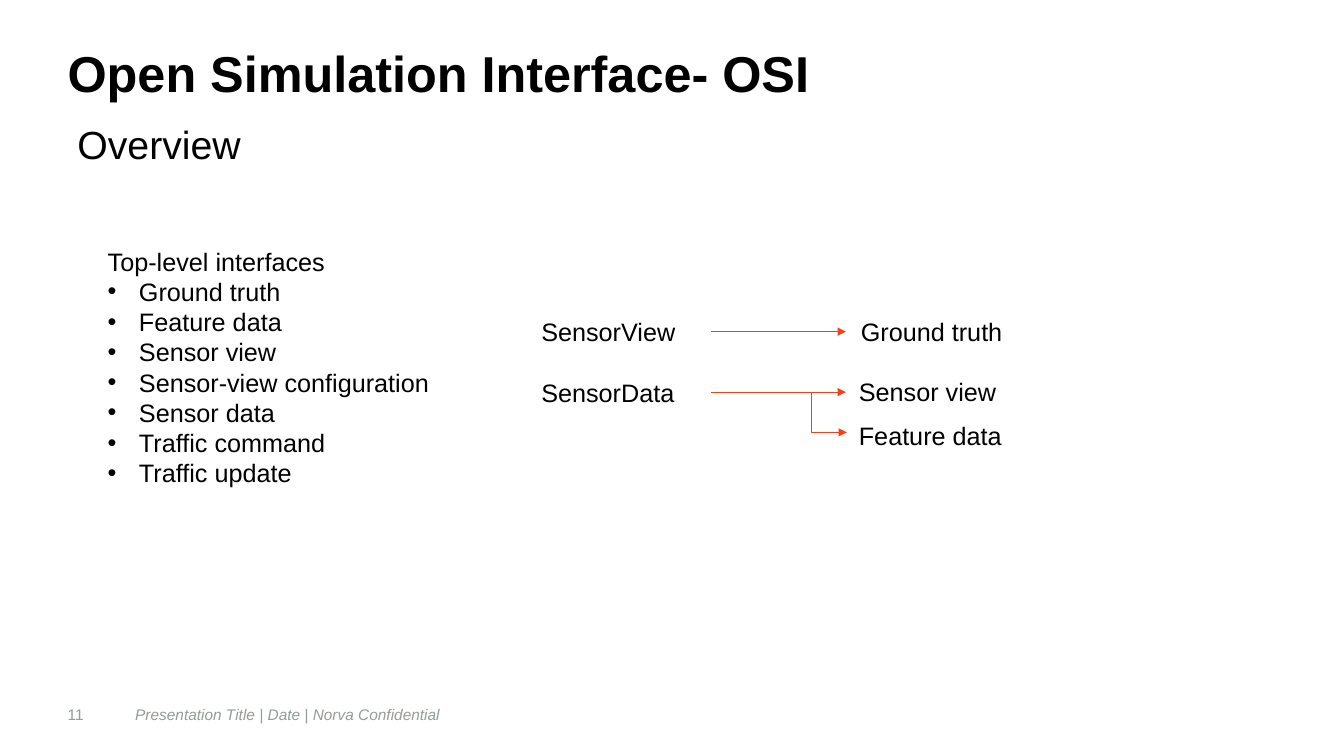
from lxml.etree import SubElement
from pptx import Presentation
from pptx.dml.color import RGBColor
from pptx.enum.shapes import MSO_CONNECTOR
from pptx.enum.text import MSO_ANCHOR, PP_ALIGN
from pptx.oxml.ns import qn
from pptx.util import Inches, Pt

COLORS = {"text": "000000", "muted": "929D96", "arrow": "F74018"}
FONT = "Arial"
TITLE = "Open Simulation Interface- OSI"
HEAD = "Top-level interfaces"
ITEMS = [
    "Ground truth",
    "Feature data",
    "Sensor view",
    "Sensor-view configuration",
    "Sensor data",
    "Traffic command",
    "Traffic update",
]
FOOTER = [  # text, left, width, italic
    ("Presentation Title | Date | Norva Confidential", 1.34, 3.82, True),
    ("11", 0.67, 0.68, False),
]
SOURCES = [("SensorView", 3.09), ("SensorData", 3.69)]  # text, top
TARGETS = [  # text, left, top, width
    ("Ground truth", 8.44, 3.09, 1.76),
    ("Sensor view", 8.42, 3.68, 1.78),
    ("Feature data", 8.42, 4.12, 1.89),
]
LABEL_H = 0.4
SOURCE_X, SOURCE_W = 5.27, 1.78
START_X, TIP_X = SOURCE_X + SOURCE_W, 8.39


def style(par, size, color="text", bold=False, italic=False):
    par.alignment = PP_ALIGN.LEFT
    font = par.font
    font.name, font.size = FONT, Pt(size)
    font.bold, font.italic = bold, italic
    font.color.rgb = RGBColor.from_string(COLORS[color])


def flush(frame, anchor):
    """Remove the margins of a text frame and anchor its text."""
    frame.margin_left = frame.margin_right = 0
    frame.margin_top = frame.margin_bottom = 0
    frame.vertical_anchor = anchor


def add_text(slide, lines, box, size=18, **look):
    shape = slide.shapes.add_textbox(*map(Inches, box))
    frame = shape.text_frame
    frame.word_wrap = True
    frame.text = "\n".join(lines)
    for par in frame.paragraphs:
        style(par, size, **look)
    return shape


def add_bullet(par):
    props = par._p.get_or_add_pPr()
    props.set("marL", str(Inches(0.31)))
    props.set("indent", str(-Inches(0.31)))
    SubElement(props, qn("a:buFont")).set("typeface", FONT)
    SubElement(props, qn("a:buChar")).set("char", "•")


def add_arrow(slide, kind, start, end):
    arrow = slide.shapes.add_connector(kind, *map(Inches, start + end))
    arrow.line.width = Pt(0.5)
    arrow.line.color.rgb = RGBColor.from_string(COLORS["arrow"])
    SubElement(arrow.line._get_or_add_ln(), qn("a:tailEnd")).set("type", "triangle")
    SubElement(arrow._element.spPr, qn("a:effectLst"))
    return arrow


def add_list(slide):
    """Add the heading line and the bulleted interfaces below it."""
    shape = slide.shapes.add_textbox(*map(Inches, (0.97, 2.39, 8.38, 2.83)))
    frame = shape.text_frame
    frame.word_wrap = True
    frame.text = "\n".join([HEAD] + ITEMS)
    for par in frame.paragraphs[1:]:
        add_bullet(par)
    for par in frame.paragraphs:
        style(par, 18)


def main():
    deck = Presentation()
    deck.slide_width, deck.slide_height = Inches(13.33), Inches(7.5)
    slide = deck.slides.add_slide(deck.slide_layouts[5])

    title = slide.shapes.title
    title.left, title.top = Inches(0.67), Inches(0.42)
    title.width, title.height = Inches(12), Inches(1.01)
    title.text_frame.text = TITLE
    flush(title.text_frame, MSO_ANCHOR.TOP)
    style(title.text_frame.paragraphs[0], 36, bold=True)

    for text, left, width, italic in FOOTER:
        box = (left, 6.92, width, 0.33)
        note = add_text(slide, [text], box, 11, color="muted", italic=italic)
        flush(note.text_frame, MSO_ANCHOR.MIDDLE)

    add_text(slide, ["Overview"], (0.67, 1.14, 2.69, 0.57), 28)
    add_list(slide)

    for text, left, top, width in TARGETS:
        add_text(slide, [text], (left, top, width, LABEL_H))
    for text, top in SOURCES:
        label = add_text(slide, [text], (SOURCE_X, top, SOURCE_W, LABEL_H))
        mid = top + LABEL_H / 2
        arrow = add_arrow(slide, MSO_CONNECTOR.STRAIGHT, (START_X, mid), (TIP_X, mid))
        arrow.begin_connect(label, 3)
    add_arrow(slide, MSO_CONNECTOR.ELBOW, (7.7, mid), (8.4, mid + 0.4))

    deck.save("out.pptx")


if __name__ == "__main__":
    main()
